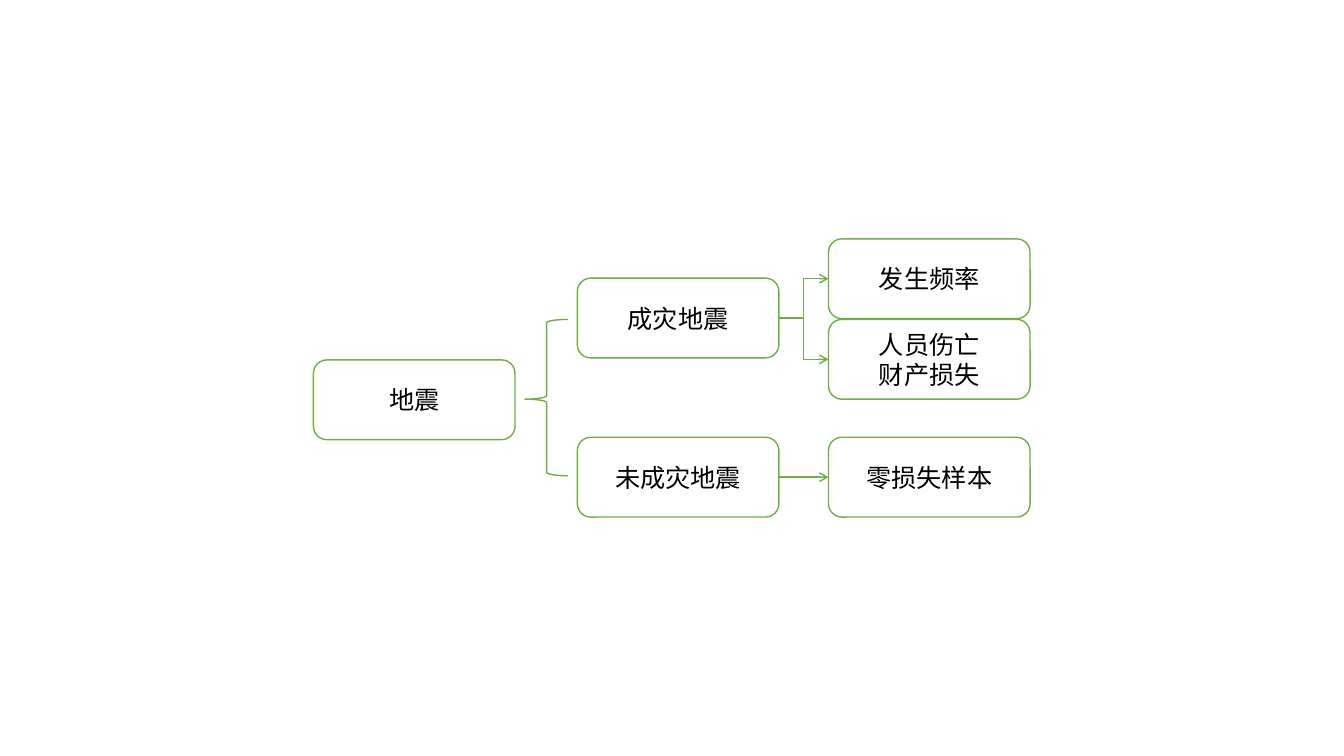
import pptx
import pptx.dml.color
import pptx.enum.shapes
import pptx.enum.text
import pptx.oxml
import pptx.oxml.ns
import pptx.util
from dataclasses import dataclass

Cm, Pt = pptx.util.Cm, pptx.util.Pt
RGB = pptx.dml.color.RGBColor
Shape = pptx.enum.shapes.MSO_SHAPE
Link = pptx.enum.shapes.MSO_CONNECTOR
LEFT, RIGHT = 1, 3  # connection sites of a rounded box


@dataclass(frozen=True)
class Theme:
    edge: RGB = RGB(0x70, 0xAD, 0x47)
    fill: RGB = RGB(255, 255, 255)
    ink: RGB = RGB(0, 0, 0)
    font: str = "Noto Sans CJK SC"
    size: int = Pt(18)
    pitch: int = Pt(21.5)
    line: int = Pt(1)


THEME = Theme()
BOX = Cm(5.08), Cm(2.01)
COLS = Cm(7.9), Cm(14.55), Cm(20.88)
# key: (column, top in cm, text)
NODES = {
    "quake": (0, 9.07, "地震"),
    "harm": (1, 7.01, "成灾地震"),
    "safe": (1, 11.02, "未成灾地震"),
    "rate": (2, 6.02, "发生频率"),
    "loss": (2, 8.05, "人员伤亡\n财产损失"),
    "zero": (2, 11.02, "零损失样本"),
}
LINKS = (
    ("harm", "rate", Link.ELBOW),
    ("harm", "loss", Link.ELBOW),
    ("safe", "zero", Link.STRAIGHT),
)


def apply(item, form):
    for key, value in form.items():
        setattr(item, key, value)


def add_node(node, name, *args):
    """Append an empty DrawingML element to an XML node."""
    child = pptx.oxml.parse_xml(
        f'<a:{name} {pptx.oxml.ns.nsdecls("a")} {" ".join(args)}/>')
    node.append(child)


def stroke(line):
    line.width = THEME.line
    line.fill.solid()
    line.fill.fore_color.rgb = THEME.edge


def add_form(slide, kind, *area):
    """Add a filled, outlined shape without a shadow."""
    form = slide.shapes.add_shape(kind, *area)
    form.shadow.inherit = False
    form.fill.solid()
    form.fill.fore_color.rgb = THEME.fill
    stroke(form.line)
    return form


def add_box(slide, col, top, text):
    box = add_form(slide, Shape.ROUNDED_RECTANGLE, COLS[col], Cm(top), *BOX)
    frame = box.text_frame
    apply(frame, {"text": text, "word_wrap": True,
                  "vertical_anchor": pptx.enum.text.MSO_ANCHOR.MIDDLE})
    for row, para in enumerate(frame.paragraphs):
        para.alignment = pptx.enum.text.PP_ALIGN.CENTER
        if row:
            para.line_spacing = THEME.pitch
        for run in para.runs:
            apply(run.font, {"size": THEME.size, "name": THEME.font})
            run.font.color.rgb = THEME.ink
            add_node(run.font._element, "ea", f'typeface="{THEME.font}"')
    return box


def add_brace(slide):
    brace = add_form(slide, Shape.LEFT_BRACE,
                     Cm(13.23), Cm(8.05), Cm(1.09), Cm(3.94))
    brace.adjustments[0] = 0.08
    brace.adjustments[1] = 0.51


def add_arrow(slide, start, end, kind):
    arrow = slide.shapes.add_connector(kind, 0, 0, 0, 0)
    arrow.begin_connect(start, RIGHT)
    arrow.end_connect(end, LEFT)
    stroke(arrow.line)
    add_node(arrow.line._get_or_add_ln(), "tailEnd", 'type="arrow"')
    add_node(arrow._element.spPr, "effectLst")


def main():
    deck = pptx.Presentation()
    apply(deck, {"slide_width": Cm(33.87), "slide_height": Cm(19.05)})
    slide = deck.slides.add_slide(deck.slide_layouts[6])
    boxes = {key: add_box(slide, *node) for key, node in NODES.items()}
    add_brace(slide)
    for start, end, kind in LINKS:
        add_arrow(slide, boxes[start], boxes[end], kind)
    deck.save("out.pptx")


if __name__ == "__main__":
    main()
